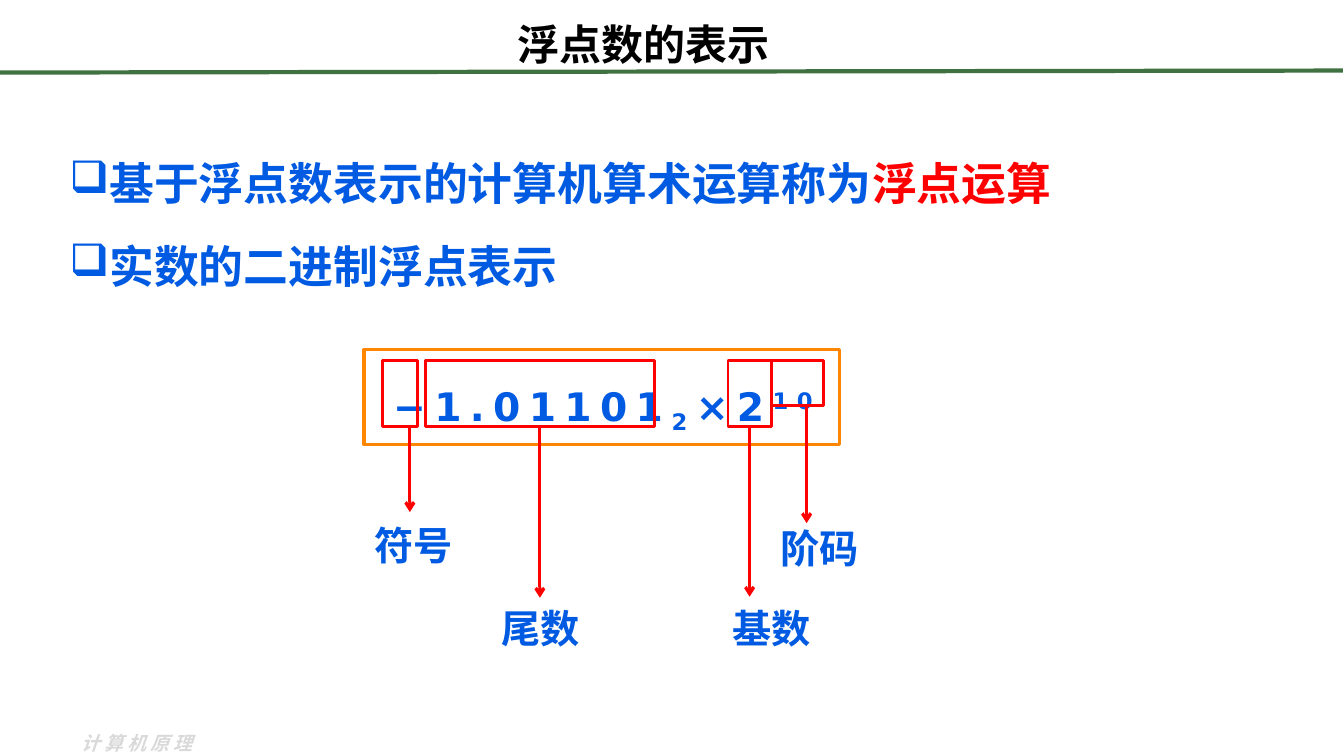
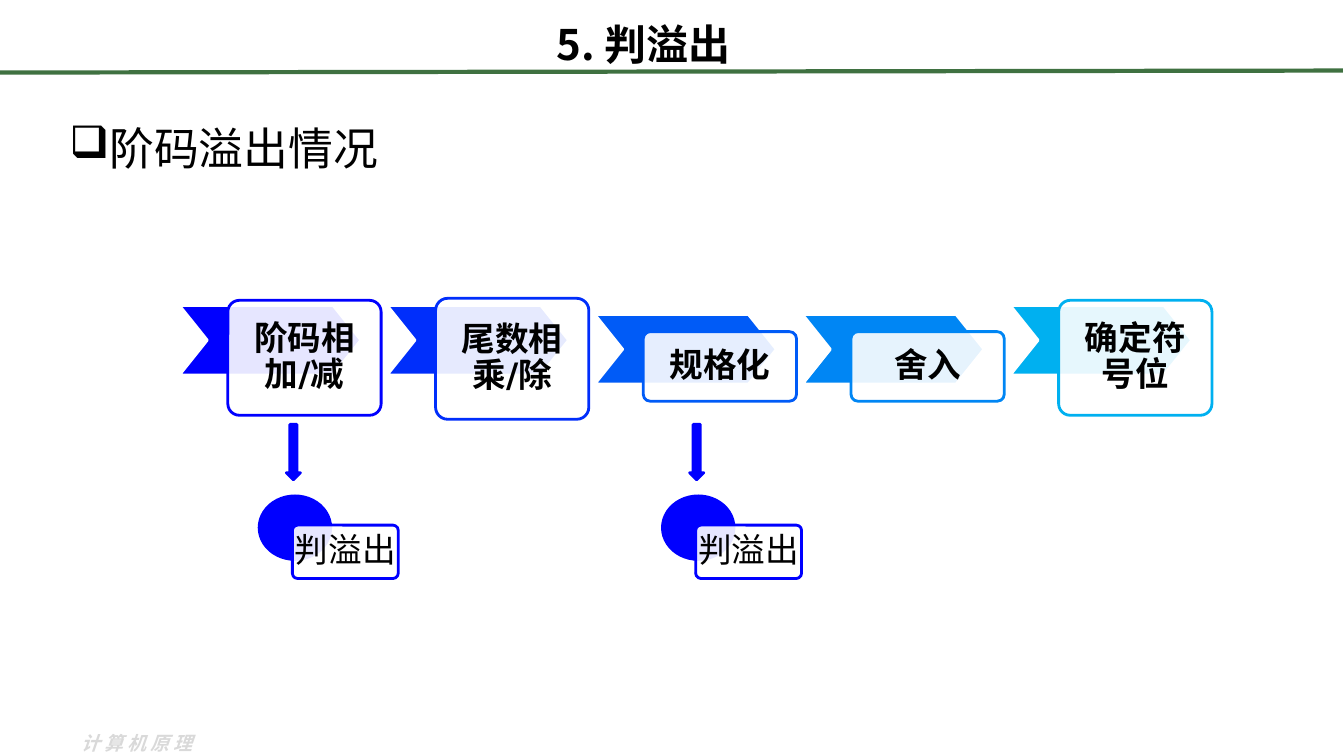
from dataclasses import dataclass

from lxml import etree
from pptx import Presentation
from pptx.dml.color import RGBColor
from pptx.enum.shapes import MSO_CONNECTOR, MSO_SHAPE as Preset
from pptx.enum.text import MSO_ANCHOR as Anchor, PP_ALIGN as Align
from pptx.oxml.ns import qn
from pptx.shapes.autoshape import Shape
from pptx.shapes.connector import Connector
from pptx.slide import Slide
from pptx.text.text import TextFrame, _Paragraph as Paragraph, _Run as Run
from pptx.util import Inches, Pt


@dataclass(frozen=True)
class Theme:
    cjk: str = "Noto Sans CJK SC"
    latin: str = "DejaVu Sans"
    ink: str = "000000"
    paper: str = "FFFFFF"
    blue: str = "005BE2"
    red: str = "FF0000"
    orange: str = "FF8601"
    rule: str = "3F7141"
    footer: str = "D9D9D9"
    deep_blue: str = "0000FF"
    title_size: float = 30
    body_size: float = 32
    label_size: float = 28
    step_size: float = 24
    footer_size: float = 13.5


THEME = Theme()
TITLE_ONLY = 5


@dataclass(frozen=True)
class Span:
    text: str
    color: str = THEME.blue
    baseline: int = 0


@dataclass(frozen=True)
class Part:
    """A marked piece of the number and the label its arrow leads to."""
    label: str
    left: float
    width: float
    height: float
    arrow_shift: float
    arrow_end: float
    label_center: float
    label_top: float


@dataclass(frozen=True)
class Step:
    label: str
    color: str
    chevron_top: float
    card_top: float
    card_height: float


FORMULA = [Span("−1.01101"), Span("2", baseline=-25000), Span("×2"), Span("10", baseline=30000)]
PARTS = [
    Part("符号", 3.79, 0.35, 0.65, 0.1, 5.08, 4.1, 5.17),
    Part("尾数", 4.22, 2.27, 0.65, 0, 5.93, 5.36, 5.99),
    Part("基数", 7.22, 0.43, 0.65, 0, 5.92, 7.65, 5.99),
    Part("阶码", 7.65, 0.52, 0.44, 0.09, 5.19, 8.13, 5.2),
]
STEPS = [
    Step("阶码相加/减", THEME.deep_blue, 3.03, 2.98, 1.14),
    Step("尾数相乘/除", "002EFB", 3.03, 2.96, 1.2),
    Step("规格化", "005BF7", 3.12, 3.29, 0.69),
    Step("舍入", "0086F4", 3.12, 3.29, 0.69),
    Step("确定符号位", "00B0F0", 3.03, 2.98, 1.14),
]
STEP_LEFT, STEP_PITCH = 1.78, 2.06
CHECK_LEFTS = (2.57, 6.57)


def rgb(value: str) -> RGBColor:
    return RGBColor.from_string(value)


def style(run: Run, size: float, color: str, bold: bool = True,
          latin: str = THEME.cjk, spacing: float = 0, baseline: int = 0) -> None:
    """Format a run; spacing is in points, baseline in thousandths of a percent."""
    font = run.font
    font.size, font.bold, font.name = Pt(size), bold, latin
    font.color.rgb = rgb(color)
    props = run._r.get_or_add_rPr()
    etree.SubElement(props, qn("a:ea")).set("typeface", THEME.cjk)
    if spacing:
        props.set("spc", str(int(spacing * 100)))
    if baseline:
        props.set("baseline", str(baseline))


def add_text(slide: Slide, left: float, top: float, width: float, height: float,
             inset: float | None = None) -> TextFrame:
    frame = slide.shapes.add_textbox(
        Inches(left), Inches(top), Inches(width), Inches(height)).text_frame
    frame.word_wrap = True
    if inset is not None:
        set_inset(frame, inset)
    return frame


def set_inset(frame: TextFrame, inset: float) -> None:
    frame.margin_left = frame.margin_right = Inches(inset)
    frame.margin_top = frame.margin_bottom = Inches(inset)


def add_preset(slide: Slide, preset: Preset, left: float, top: float, width: float,
               height: float, line: str, weight: float = 2, fill: str | None = None) -> Shape:
    shape = slide.shapes.add_shape(
        preset, Inches(left), Inches(top), Inches(width), Inches(height))
    shape.shadow.inherit = False
    if fill:
        shape.fill.solid()
        shape.fill.fore_color.rgb = rgb(fill)
    else:
        shape.fill.background()
    shape.line.color.rgb = rgb(line)
    shape.line.width = Pt(weight)
    return shape


def add_line(slide: Slide, x1: float, y1: float, x2: float, y2: float,
             color: str, weight: float, arrow: bool = False) -> Connector:
    line = slide.shapes.add_connector(
        MSO_CONNECTOR.STRAIGHT, Inches(x1), Inches(y1), Inches(x2), Inches(y2))
    line.line.color.rgb = rgb(color)
    line.line.width = Pt(weight)
    if arrow:
        etree.SubElement(line.line._get_or_add_ln(), qn("a:tailEnd")).set("type", "arrow")
    etree.SubElement(line._element.spPr, qn("a:effectLst"))
    return line


def add_bullet(paragraph: Paragraph) -> None:
    props = paragraph._p.get_or_add_pPr()
    props.set("marL", str(Inches(0.38)))
    props.set("indent", str(-Inches(0.38)))
    etree.SubElement(props, qn("a:buChar")).set("char", "❑")


def add_card(slide: Slide, text: str, left: float, top: float, width: float, height: float,
             color: str, inset: float, bold: bool, wrap: bool) -> None:
    """Rounded, slightly see-through white card holding its label."""
    card = add_preset(slide, Preset.ROUNDED_RECTANGLE, left, top, width, height,
                      color, fill=THEME.paper)
    card.adjustments[0] = 0.1
    paper = card._element.spPr.find(qn("a:solidFill")).find(qn("a:srgbClr"))
    etree.SubElement(paper, qn("a:alpha")).set("val", "90000")
    frame = card.text_frame
    frame.text = text
    frame.word_wrap = wrap
    frame.vertical_anchor = Anchor.MIDDLE
    set_inset(frame, inset)
    paragraph = frame.paragraphs[0]
    paragraph.alignment = Align.CENTER
    paragraph.line_spacing = 0.9
    style(paragraph.runs[0], THEME.step_size, THEME.ink, bold, THEME.latin)


def new_slide(deck: Presentation, heading: str) -> Slide:
    """Slide with the shared title, green rule and course footer."""
    slide = deck.slides.add_slide(deck.slide_layouts[TITLE_ONLY])
    title = slide.shapes.title
    title.left, title.top = Inches(1.7), Inches(0.13)
    title.width, title.height = Inches(9.36), Inches(0.61)
    title.text_frame.text = heading
    title.text_frame.vertical_anchor = Anchor.MIDDLE
    paragraph = title.text_frame.paragraphs[0]
    paragraph.alignment = Align.CENTER
    style(paragraph.runs[0], THEME.title_size, THEME.ink)

    add_line(slide, 0, 0.72, 13.32, 0.7, THEME.rule, 3)

    course = add_text(slide, 0.71, 7.21, 1.46, 0.34)
    course.word_wrap = False
    course.text = "计算机原理"
    course_name = course.paragraphs[0].runs[0]
    style(course_name, THEME.footer_size, THEME.footer, spacing=3)
    course_name.font.italic = True
    return slide


def add_part(slide: Slide, part: Part) -> None:
    top = 3.58
    marker = add_preset(slide, Preset.RECTANGLE, part.left, top, part.width, part.height, THEME.red)
    arrow_x = part.left + part.width / 2 + part.arrow_shift
    arrow = add_line(slide, arrow_x, top + part.height, arrow_x, part.arrow_end,
                     THEME.red, 2.25, arrow=True)
    if not part.arrow_shift:
        arrow.begin_connect(marker, 2)
    width = 0.86
    frame = add_text(slide, part.label_center - width / 2, part.label_top, width, 0.47, inset=0)
    frame.vertical_anchor = Anchor.MIDDLE
    frame.text = part.label
    paragraph = frame.paragraphs[0]
    paragraph.alignment = Align.CENTER
    style(paragraph.runs[0], THEME.label_size, THEME.blue)


def build_representation(deck: Presentation) -> None:
    slide = new_slide(deck, "浮点数的表示")
    points = [
        [Span("基于浮点数表示的计算机算术运算称为"), Span("浮点运算", THEME.red)],
        [Span("实数的二进制浮点表示")],
    ]
    body = add_text(slide, 0.59, 1.23, 11.94, 5.51)
    for index, spans in enumerate(points):
        paragraph = body.add_paragraph() if index else body.paragraphs[0]
        add_bullet(paragraph)
        paragraph.line_spacing = 1.5
        if index:
            paragraph.space_before = Pt(1.6)
        for span in spans:
            run = paragraph.add_run()
            run.text = span.text
            style(run, THEME.body_size, span.color)

    number = add_text(slide, 3.63, 3.42, 4.7, 0.85).paragraphs[0]
    number.alignment = Align.CENTER
    number.line_spacing = 1.6
    for span in FORMULA:
        run = number.add_run()
        run.text = span.text
        style(run, THEME.label_size, span.color, latin=THEME.latin,
              spacing=6, baseline=span.baseline)
    add_preset(slide, Preset.RECTANGLE, 3.61, 3.47, 4.72, 0.94, THEME.orange, 2.25)
    for part in PARTS:
        add_part(slide, part)


def build_overflow(deck: Presentation) -> None:
    slide = new_slide(deck, "5. 判溢出")
    body = add_text(slide, 0.59, 1.15, 11.94, 0.55)
    body.text = "阶码溢出情况"
    add_bullet(body.paragraphs[0])
    style(body.paragraphs[0].runs[0], THEME.body_size, THEME.ink, False, THEME.latin)

    for index, step in enumerate(STEPS):
        left = STEP_LEFT + index * STEP_PITCH
        chevron = add_preset(slide, Preset.CHEVRON, left, step.chevron_top, 1.8, 0.69,
                             THEME.paper, fill=step.color)
        chevron.adjustments[0] = 0.4
        add_card(slide, step.label, left + 0.48, step.card_top, 1.52, step.card_height,
                 step.color, inset=0.19, bold=True, wrap=True)

    blue = THEME.deep_blue
    for left in CHECK_LEFTS:
        add_preset(slide, Preset.DOWN_ARROW, left + 0.27, 4.21, 0.14, 0.55, blue, fill=blue)
        add_preset(slide, Preset.OVAL, left, 4.92, 0.71, 0.63, blue, fill=blue)
        add_card(slide, "判溢出", left + 0.33, 5.21, 1.05, 0.53, blue,
                 inset=0, bold=False, wrap=False)


def main() -> None:
    deck = Presentation()
    deck.slide_width, deck.slide_height = Inches(13.33), Inches(7.5)
    build_representation(deck)
    build_overflow(deck)
    deck.save("out.pptx")


if __name__ == "__main__":
    main()
